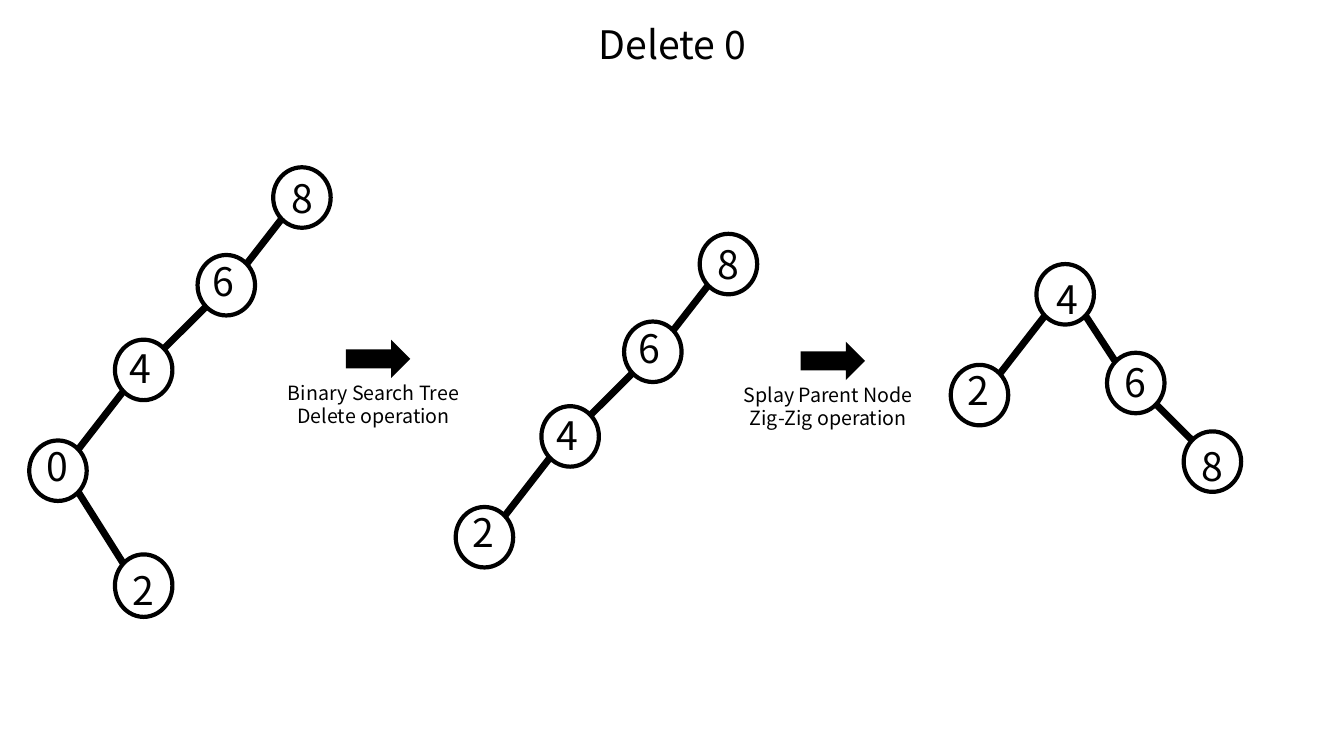
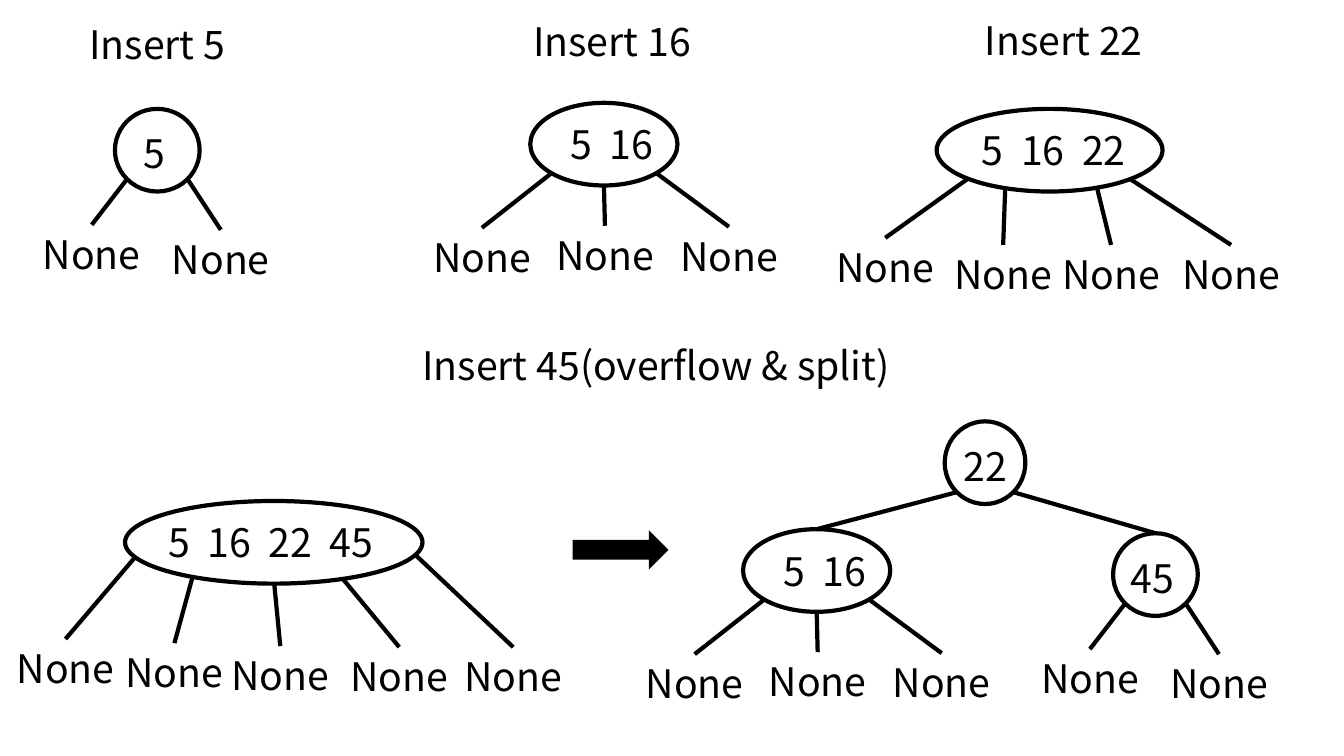
from dataclasses import dataclass
from math import sqrt

from lxml import etree
from pptx import Presentation
from pptx import util as u
from pptx.dml.color import RGBColor
from pptx.enum import shapes, text
from pptx.oxml.ns import qn


@dataclass(frozen=True)
class Theme:
    font: str = "Noto Sans CJK KR"
    ink: RGBColor = RGBColor(0, 0, 0)
    paper: RGBColor = RGBColor(255, 255, 255)
    body: int = 28
    note: int = 14
    lead: float = 16.5
    rim: int = 3
    edge: int = 5
    row: float = 0.57


T = Theme()
HALF = sqrt(0.5)
SPLAY = {"0": (-0.01, -0.05), "2": (-0.01, -0.05),
         "4": (-0.03, -0.02), "6": (-0.03, -0.04), "8": (0, 0)}


def inch(*vals):
    return [u.Inches(v) for v in vals]


def place(shape, box):
    shape.left, shape.top, shape.width, shape.height = inch(*box)


def write(shape, lines, size=T.body, lead=None):
    frame = shape.text_frame
    frame.word_wrap = True
    frame.auto_size = text.MSO_AUTO_SIZE.NONE
    frame.vertical_anchor = text.MSO_ANCHOR.MIDDLE
    frame.margin_left = frame.margin_right = 0
    frame.margin_top = frame.margin_bottom = 0
    for i, line in enumerate(lines):
        para = frame.paragraphs[0] if i == 0 else frame.add_paragraph()
        para.alignment = text.PP_ALIGN.CENTER
        para.line_spacing = u.Pt(lead) if lead else 1.0
        para.space_before = u.Pt(0)
        run = para.add_run()
        run.text = line
        run.font.name = T.font
        run.font.size = u.Pt(size)
        run.font.color.rgb = T.ink


def label(slide, box, *lines, **style):
    shape = slide.shapes.add_textbox(*inch(*box))
    write(shape, lines, **style)
    return shape


def title(slide, x, y, words):
    shape = slide.shapes.title
    place(shape, (x, y, 2.78, T.row))
    write(shape, [words])


def node(slide, words, box, shift):
    x, y, w, h = box
    shape = slide.shapes.add_shape(shapes.MSO_SHAPE.OVAL, *inch(*box))
    shape.shadow.inherit = False
    shape.fill.background()
    shape.line.color.rgb = T.ink
    shape.line.width = u.Pt(T.rim)
    dx, dy = shift
    label(slide, (x + dx, y + dy + (h - T.row) / 2, w, T.row), words)
    return shape


def arrow(slide, *box):
    shape = slide.shapes.add_shape(shapes.MSO_SHAPE.RIGHT_ARROW, *inch(*box))
    shape.shadow.inherit = False
    shape.fill.solid()
    shape.fill.fore_color.rgb = T.ink
    shape.line.fill.background()


def line(slide, start, end, width):
    ends = [int(v) for v in (*start, *end)]
    link = slide.shapes.add_connector(shapes.MSO_CONNECTOR.STRAIGHT, *ends)
    link.line.color.rgb = T.ink
    link.line.width = u.Pt(width)
    etree.SubElement(link._element.spPr, qn("a:effectLst"))
    return link


def rim(shape, sx, sy):
    rx, ry = shape.width / 2, shape.height / 2
    return shape.left + rx + sx * rx * HALF, shape.top + ry + sy * ry * HALF


def join(slide, top, low):
    side = 1 if low.left > top.left else -1
    line(slide, rim(top, side, 1), rim(low, -side, -1), T.edge)


def drop(slide, top, x, low):
    rx, ry = top.width / 2, top.height / 2
    ratio = (u.Inches(x) - top.left - rx) / rx
    start = u.Inches(x), top.top + ry + ry * sqrt(1 - ratio ** 2)
    line(slide, start, start, T.rim).end_connect(low, 0)


def path_tree(slide, spots):
    nodes = [node(slide, key, (x, y, 0.57, 0.6), shift or SPLAY[key])
             for key, x, y, shift in spots]
    for top, low in zip(nodes, nodes[1:]):
        join(slide, top, low)
    return nodes


def chain(slide, last, dx, dy):
    spots = [("8", 2.71, 1.66), ("6", 1.96, 2.53),
             ("4", 1.14, 3.37), (last, 0.29, 4.37)]
    return path_tree(slide, [(k, x + dx, y + dy, None) for k, x, y in spots])


def step(slide, x, y, *lines):
    arrow(slide, x + 0.85, y, 0.64, 0.38)
    label(slide, (x, y + 0.36, 2.25, T.row), *lines,
          size=T.note, lead=T.lead)


def bush(slide, words, box, shift, leaves):
    top = node(slide, words, box, shift)
    wide = 1.19
    for start, x, y in leaves:
        low = label(slide, (x - wide / 2, y, wide, T.row), "None")
        drop(slide, top, start, low)
    return top


def pair(slide, words, x, y):
    return bush(slide, words, (x, y, 0.84, 0.82), (-0.03, 0.03),
                [(x + 0.12, x - 0.23, y + 1.15),
                 (x + 0.72, x + 1.05, y + 1.2)])


def trio(slide, x, y):
    return bush(slide, "5  16", (x, y, 1.46, 0.82), (0.08, 0),
                [(x + 0.21, x - 0.48, y + 1.24),
                 (x + 0.73, x + 0.74, y + 1.22),
                 (x + 1.25, x + 1.97, y + 1.23)])


def remove(slide):
    title(slide, 5.28, 0.15, "Delete 0")
    low = chain(slide, "0", 0, 0)[-1]
    join(slide, low, node(slide, "2", (1.14, 5.5, 0.57, 0.62), (0, 0.04)))
    step(slide, 2.58, 3.37, "Binary Search Tree", "Delete operation")
    chain(slide, "2", 4.23, 0.66)
    step(slide, 7.09, 3.39, "Splay Parent Node", "Zig-Zig operation")
    root = path_tree(slide, [("4", 10.28, 2.62, (0.02, 0.04)),
                             ("6", 10.98, 3.5, (0, -0.01)),
                             ("8", 11.74, 4.28, (0, 0.04))])[0]
    join(slide, root, node(slide, "2", (9.43, 3.62, 0.57, 0.6), SPLAY["2"]))


def insert(slide):
    title(slide, 0.17, 0.15, "Insert 5")
    for words, x, y, w in [("Insert 16", 4.68, 0.12, 2.78),
                           ("Insert 22", 9.16, 0.11, 2.78),
                           ("Insert 45(overflow & split)", 3.23, 3.33, 6.55)]:
        label(slide, (x, y, w, T.row), words)
    pair(slide, "5", 1.14, 1.08)
    trio(slide, 5.26, 1.02)
    bush(slide, "5  16  22", (9.29, 1.08, 2.24, 0.82), (0.04, 0),
         [(9.6, 8.78, 2.36), (9.97, 9.95, 2.43),
          (10.88, 11.02, 2.43), (11.21, 12.21, 2.43)])
    bush(slide, "5  16  22  45", (1.24, 4.97, 2.95, 0.82), (-0.03, 0),
         [(1.34, 0.65, 6.34), (1.91, 1.73, 6.38), (2.72, 2.78, 6.41),
          (3.4, 3.96, 6.42), (4.12, 5.09, 6.42)])
    arrow(slide, 5.68, 5.26, 0.95, 0.39)
    left = trio(slide, 7.37, 5.25)
    right = pair(slide, "45", 11.04, 5.29)
    root = node(slide, "22", (9.37, 4.18, 0.8, 0.82), (0, 0.03))
    drop(slide, root, 9.49, left)
    drop(slide, root, 10.05, right)


def main():
    deck = Presentation()
    deck.slide_width, deck.slide_height = inch(13.33, 7.5)
    for draw in (remove, insert):
        slide = deck.slides.add_slide(deck.slide_layouts[5])
        slide.background.fill.solid()
        slide.background.fill.fore_color.rgb = T.paper
        draw(slide)
    deck.save("out.pptx")


if __name__ == "__main__":
    main()
